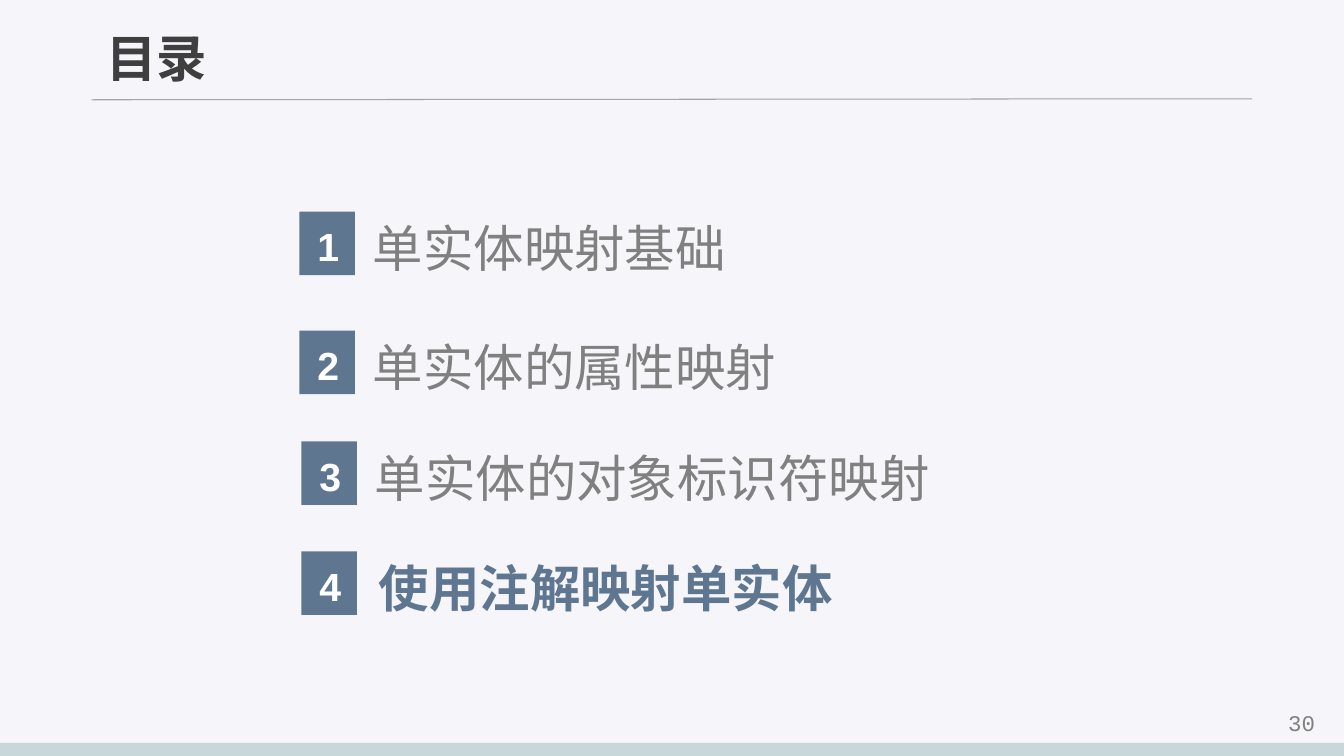
from dataclasses import dataclass

from lxml import etree
from pptx import Presentation
from pptx.dml.color import RGBColor
from pptx.enum.shapes import MSO_CONNECTOR, MSO_SHAPE
from pptx.enum.text import MSO_ANCHOR, PP_ALIGN
from pptx.oxml.ns import qn
from pptx.util import Inches, Pt

RECTANGLE = MSO_SHAPE.RECTANGLE
STRAIGHT = MSO_CONNECTOR.STRAIGHT
LEFT = PP_ALIGN.LEFT
CENTER = PP_ALIGN.CENTER
MIDDLE = MSO_ANCHOR.MIDDLE
TITLE_ONLY = 5


@dataclass(frozen=True)
class Theme:
    background: str = "F5F5FA"
    footer: str = "C8D7DA"
    rule: str = "A5A5A5"
    title: str = "3F3F3F"
    muted: str = "808080"
    accent: str = "5F7690"
    white: str = "FFFFFF"
    heading_font: str = "Noto Sans CJK SC"
    badge_font: str = "Arial"
    page_font: str = "Courier New"
    heading_size: int = 36
    badge_size: int = 28
    page_size: int = 16


class SlideBuilder:
    def __init__(self, presentation, theme):
        self.theme = theme
        self.slide = presentation.slides.add_slide(presentation.slide_layouts[TITLE_ONLY])
        fill = self.slide.background.fill
        fill.solid()
        fill.fore_color.rgb = RGBColor.from_string(theme.background)

    def set_text(self, shape, text, font_name, size, color, bold=False, align=LEFT, wrap=True):
        text_frame = shape.text_frame
        text_frame.text = text
        text_frame.word_wrap = wrap
        text_frame.vertical_anchor = MIDDLE
        text_frame.margin_top = text_frame.margin_bottom = Inches(0.05)
        paragraph = text_frame.paragraphs[0]
        paragraph.alignment = align
        font = paragraph.runs[0].font
        font.name = font_name
        font.size = Pt(size)
        font.bold = bold
        font.color.rgb = RGBColor.from_string(color)
        east_asian = etree.SubElement(font._element, qn("a:ea"))
        east_asian.set("typeface", font_name)

    def title(self, text, left, top, width, height):
        shape = self.slide.shapes.title
        shape.left, shape.top = Inches(left), Inches(top)
        shape.width, shape.height = Inches(width), Inches(height)
        theme = self.theme
        self.set_text(shape, text, theme.heading_font, theme.heading_size, theme.title,
                      bold=True, align=CENTER, wrap=False)

    def text(self, text, left, top, width, height, *style, **options):
        shape = self.slide.shapes.add_textbox(
            Inches(left), Inches(top), Inches(width), Inches(height))
        self.set_text(shape, text, *style, **options)

    def rectangle(self, left, top, width, height, color):
        shape = self.slide.shapes.add_shape(
            RECTANGLE, Inches(left), Inches(top), Inches(width), Inches(height))
        shape.shadow.inherit = False
        shape.fill.solid()
        shape.fill.fore_color.rgb = RGBColor.from_string(color)
        shape.line.fill.background()
        return shape

    def line(self, start_x, start_y, end_x, end_y, color, width):
        connector = self.slide.shapes.add_connector(
            STRAIGHT, Inches(start_x), Inches(start_y), Inches(end_x), Inches(end_y))
        connector.line.color.rgb = RGBColor.from_string(color)
        connector.line.width = Pt(width)
        etree.SubElement(connector._element.spPr, qn("a:effectLst"))

    def agenda_item(self, number, text, badge_left, text_left, top, current):
        theme = self.theme
        self.text(text, text_left, top, 7.55, 0.71, theme.heading_font, theme.heading_size,
                  theme.accent if current else theme.muted, bold=current)
        badge = self.rectangle(badge_left, top, 0.55, 0.63, theme.accent)
        self.set_text(badge, str(number), theme.badge_font, theme.badge_size, theme.white,
                      bold=True, align=CENTER)
        badge.text_frame.margin_left = Inches(0.12)
        badge.text_frame.margin_right = Inches(0.1)
        badge.text_frame.margin_top = Inches(0.1)


theme = Theme()
presentation = Presentation()
presentation.slide_width = Inches(13.33)
presentation.slide_height = Inches(7.5)
builder = SlideBuilder(presentation, theme)

builder.rectangle(0, 7.37, 13.33, 0.13, theme.footer)
builder.text("30", 12.49, 6.96, 0.84, 0.41, theme.page_font, theme.page_size,
             theme.muted, align=CENTER)
builder.line(0.91, 0.99, 12.42, 0.98, theme.rule, 0.75)
builder.title("目录", 0.85, 0.21, 1.41, 0.71)

AGENDA = [
    ("单实体映射基础", 2.97, 3.6, 2.1),
    ("单实体的属性映射", 2.97, 3.6, 3.28),
    ("单实体的对象标识符映射", 2.99, 3.62, 4.38),
    ("使用注解映射单实体", 2.99, 3.66, 5.47),
]
for number, (text, badge_left, text_left, top) in enumerate(AGENDA, start=1):
    builder.agenda_item(number, text, badge_left, text_left, top, number == len(AGENDA))

presentation.save("out.pptx")
